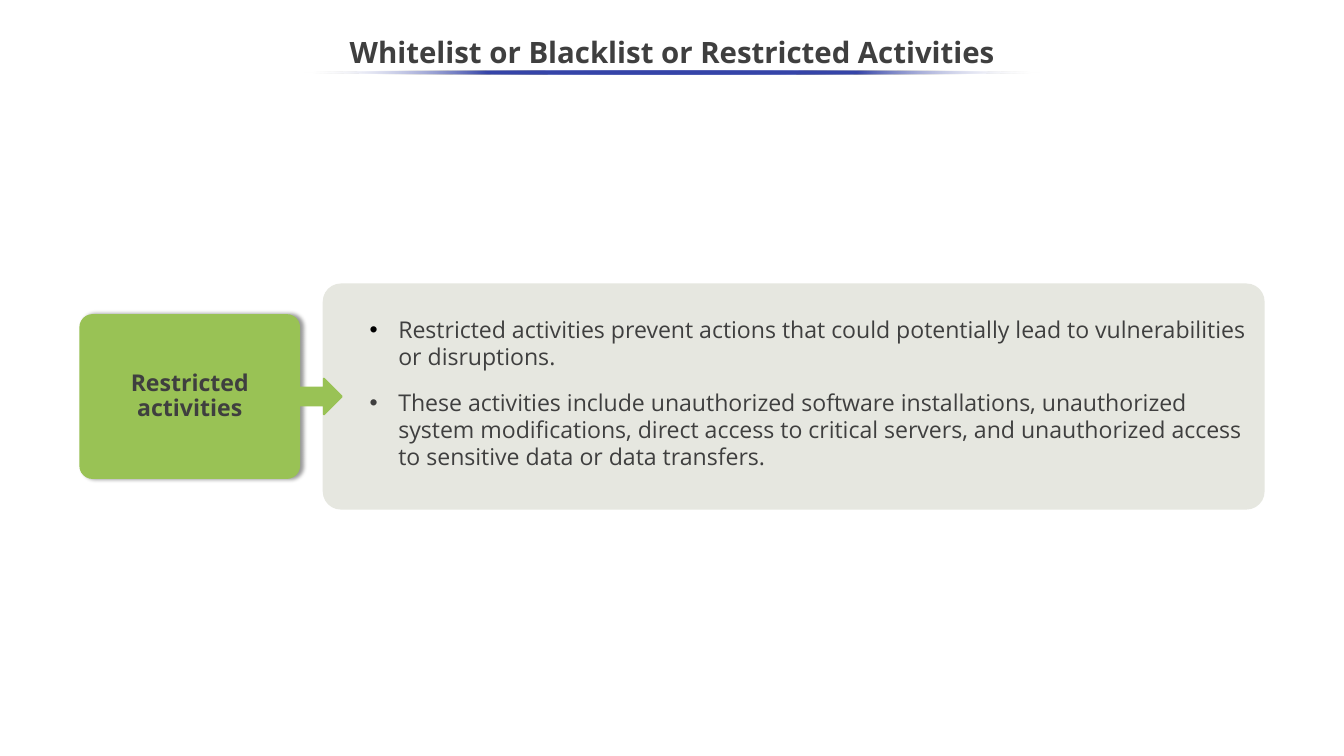
from dataclasses import dataclass

from lxml import etree
from pptx import Presentation
from pptx.dml.color import RGBColor
from pptx.enum import shapes, text
from pptx.oxml import ns
from pptx.util import Inches, Pt


@dataclass(frozen=True)
class Theme:
    font: str = "Open Sans"
    ink: str = "3F3F3F"
    black: str = "000000"
    white: str = "FFFFFF"
    green: str = "99C255"
    panel: str = "E6E7E0"
    rule: str = "3645A9"
    title_size: int = 28
    body_size: int = 22


THEME = Theme()
SHAPE = shapes.MSO_SHAPE
ALIGN = text.PP_ALIGN


def add_xml(parent, tag, **attrs):
    return etree.SubElement(parent, ns.qn(tag), {k: str(v) for k, v in attrs.items()})


def add_shape(s, kind, box, fill=None, adj=()):
    sp = s.shapes.add_shape(kind, *map(Inches, box))
    sp.shadow.inherit = False
    sp.line.fill.background()
    if fill:
        sp.fill.solid()
        sp.fill.fore_color.rgb = RGBColor.from_string(fill)
    for i, value in enumerate(adj):
        sp.adjustments[i] = value
    return sp


def set_frame(tf, insets):
    tf.word_wrap = True
    tf.auto_size = text.MSO_AUTO_SIZE.NONE
    tf.vertical_anchor = text.MSO_ANCHOR.MIDDLE
    tf.margin_left, tf.margin_top, tf.margin_right, tf.margin_bottom = map(Inches, insets)


def write(p, words, size=THEME.body_size, bold=False, align=ALIGN.CENTER,
          spacing=0.9, before=0, bullet=None):
    if bullet:
        pPr = p._p.get_or_add_pPr()
        pPr.set("marL", str(Inches(0.93)))
        pPr.set("indent", str(Inches(-0.38)))
        add_xml(add_xml(pPr, "a:buClr"), "a:srgbClr", val=bullet)
        add_xml(pPr, "a:buFont", typeface="Arial")
        add_xml(pPr, "a:buChar", char="•")
    p.alignment = align
    p.line_spacing = spacing
    p.space_before = Pt(before)
    r = p.add_run()
    r.text = words
    r.font.name = THEME.font
    r.font.size = Pt(size)
    r.font.bold = bold
    r.font.color.rgb = RGBColor.from_string(THEME.ink)


def add_title(s, box, words):
    title = s.shapes.title
    title.left, title.top, title.width, title.height = map(Inches, box)
    set_frame(title.text_frame, [0.05] * 4)
    write(title.text_frame.paragraphs[0], words, size=THEME.title_size, bold=True)


def add_title_rule(s, box):
    """Thin ellipse that fades out at both ends."""
    sp = add_shape(s, SHAPE.OVAL, box)
    grad = etree.Element(ns.qn("a:gradFill"), rotWithShape="1")
    stops = add_xml(grad, "a:gsLst")
    for pos in (0, 25, 50, 75, 100):
        end = pos in (0, 100)
        stop = add_xml(stops, "a:gs", pos=pos * 1000)
        color = add_xml(stop, "a:srgbClr", val=THEME.white if end else THEME.rule)
        if end:
            add_xml(color, "a:alpha", val=0)
    add_xml(grad, "a:lin", ang=180 * 60000, scaled=0)
    sp._element.spPr.find(ns.qn("a:prstGeom")).addnext(grad)


def add_panel(s, box, items):
    sp = add_shape(s, SHAPE.ROUNDED_RECTANGLE, box, THEME.panel, [0.08])
    tf = sp.text_frame
    set_frame(tf, (0, 0, 0, 0.07))
    for i, (words, bullet) in enumerate(items):
        p = tf.add_paragraph() if i else tf.paragraphs[0]
        write(p, words, align=ALIGN.LEFT, spacing=0.99,
              before=17 if i else 0, bullet=bullet)


def add_label(s, box, words):
    sp = add_shape(s, SHAPE.ROUNDED_RECTANGLE, box, THEME.green, [0.08])
    # Soft shadow to the right
    effects = sp._element.spPr.find(ns.qn("a:effectLst"))
    shadow = add_xml(effects, "a:outerShdw", blurRad=Pt(4), dist=Pt(3), dir=0,
                     algn="l", rotWithShape=0)
    add_xml(add_xml(shadow, "a:srgbClr", val=THEME.black), "a:alpha", val=40000)
    set_frame(sp.text_frame, [0.28] * 4)
    write(sp.text_frame.paragraphs[0], words, bold=True)


def add_arrow(s, box):
    sp = add_shape(s, SHAPE.RIGHT_ARROW, box, THEME.green, [0.5, 0.5])
    sp.line.color.rgb = RGBColor.from_string(THEME.green)
    sp.line.width = Pt(2)


def add_topic(s, box, label, items):
    """Label on the left, arrow, and panel of points on the right."""
    x, y, w, h = box
    middle = y + h / 2
    label_w, label_h, gap = 2.92, 2.18, 0.3
    arrow_w, arrow_h = 0.58, 0.47
    panel_x = x + label_w + gap
    add_panel(s, (panel_x, y, x + w - panel_x, h), items)
    add_label(s, (x, middle - label_h / 2, label_w, label_h), label)
    add_arrow(s, (x + label_w - 0.03, middle - arrow_h / 2, arrow_w, arrow_h))


def main():
    prs = Presentation()
    prs.slide_width, prs.slide_height = Inches(17.78), Inches(10)
    s = prs.slides.add_slide(prs.slide_layouts[5])
    add_title(s, (0, 0.34, 17.78, 0.75), "Whitelist or Blacklist or Restricted Activities")
    add_topic(s, (1.05, 3.75, 15.68, 2.99), "Restricted activities", [
        ("Restricted activities prevent actions that could potentially lead to "
         "vulnerabilities or disruptions.", THEME.black),
        ("These activities include unauthorized software installations, unauthorized "
         "system modifications, direct access to critical servers, and unauthorized "
         "access to sensitive data or data transfers.", THEME.ink),
    ])
    add_title_rule(s, (4.01, 0.94, 9.75, 0.04))
    prs.save("out.pptx")


if __name__ == "__main__":
    main()
